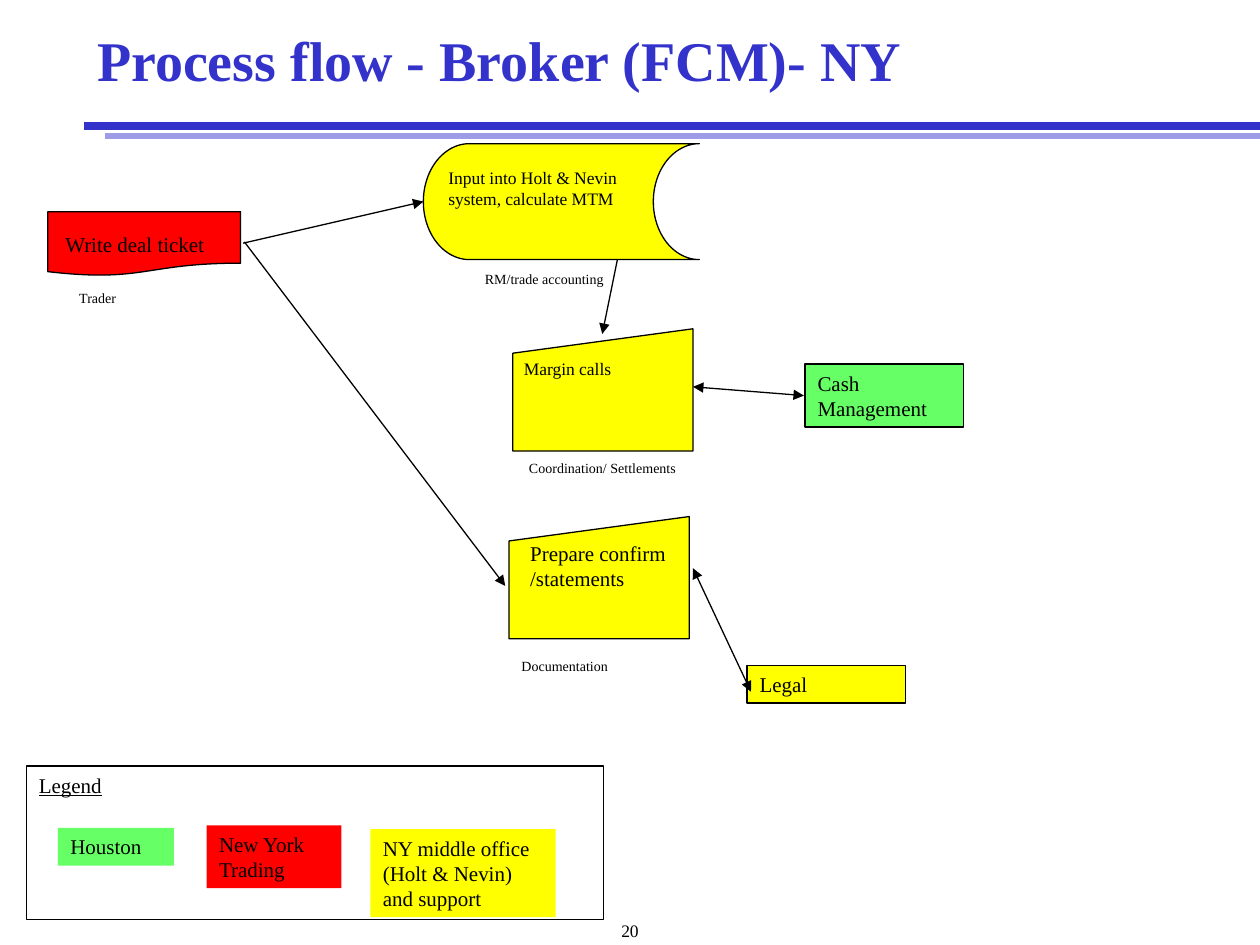
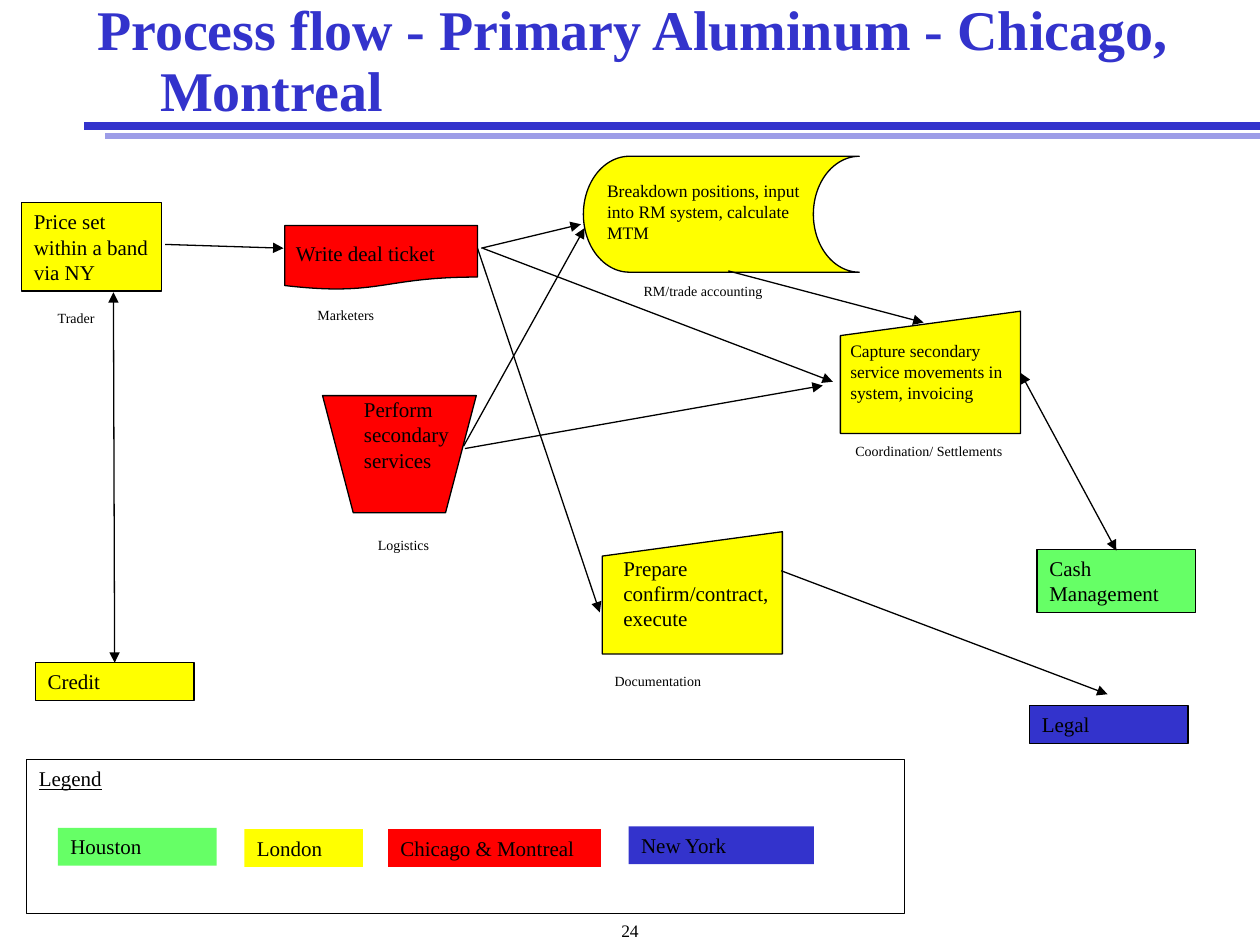
from lxml import etree
from pptx import Presentation
from pptx.dml.color import RGBColor
from pptx.enum.shapes import MSO_CONNECTOR as CONNECTOR, MSO_SHAPE as SHAPE
from pptx.enum.text import MSO_ANCHOR as ANCHOR, MSO_AUTO_SIZE as AUTO_SIZE, PP_ALIGN as ALIGN
from pptx.oxml.ns import qn
from pptx.util import Emu, Pt

EMU_PER_PX = 9144  # 100 px to the inch
FONT = "Times New Roman"
TITLE_ONLY = 5
COLORS = {
    "black": "000000",
    "blue": "3333CC",
    "pale_blue": "9D9DE7",
    "green": "66FF66",
    "red": "FF0000",
    "yellow": "FFFF00",
}


def px(*lengths):
    return [Emu(length * EMU_PER_PX) for length in lengths]


def color(name):
    return RGBColor.from_string(COLORS[name])


def set_font(para, size, name="black", bold=False, underline=False):
    for span in para.runs:
        font = span.font
        font.name, font.size = FONT, Pt(size)
        font.bold, font.underline = bold, underline
        font.color.rgb = color(name)


def write(shape, text, size=12, align=ALIGN.LEFT, underline=False):
    frame = shape.text_frame
    frame.word_wrap = True
    frame.auto_size = AUTO_SIZE.NONE
    frame.vertical_anchor = ANCHOR.TOP
    frame.text = text
    para = frame.paragraphs[0]
    para.alignment = align
    set_font(para, size, underline=underline)


def add_text(page, text, box, size=12, align=ALIGN.LEFT):
    write(page.shapes.add_textbox(*px(*box)), text, size, align)


def add_block(page, kind, box, fill=None, outlined=True):
    block = page.shapes.add_shape(kind, *px(*box))
    block.shadow.inherit = False
    if fill:
        block.fill.solid()
        block.fill.fore_color.rgb = color(fill)
    else:
        block.fill.background()
    if outlined:
        block.line.color.rgb = color("black")
        block.line.width = Pt(0.75)
    else:
        block.line.fill.background()
    return block


def add_step(page, kind, box, fill, text, text_box, size=12):
    """Flowchart symbol with its text laid over it."""
    add_block(page, kind, box, fill)
    add_text(page, text, text_box, size)


def add_party(page, text, box, fill):
    write(add_block(page, SHAPE.RECTANGLE, box, fill), text)


def add_captions(page, captions):
    for text, left, top, width in captions:
        add_text(page, text, (left, top, width, 24), 8)


def add_line(page, ends, name="black", width=0.75):
    line = page.shapes.add_connector(CONNECTOR.STRAIGHT, *px(*ends))
    line.line.color.rgb = color(name)
    line.line.width = Pt(width)
    etree.SubElement(line._element.spPr, qn("a:effectLst"))
    return line


def add_arrows(page, routes, two_way=False):
    tips = ("headEnd", "tailEnd") if two_way else ("tailEnd",)
    for ends in routes:
        stroke = add_line(page, ends).line._get_or_add_ln()
        for tip in tips:
            etree.SubElement(stroke, qn("a:" + tip), type="triangle")


def add_legend(page, box, entries):
    frame = add_block(page, SHAPE.RECTANGLE, box)
    write(frame, "Legend", underline=True)
    for text, fill, entry_box in entries:
        entry = add_block(page, SHAPE.RECTANGLE, entry_box, fill, outlined=False)
        write(entry, text)


def add_page(deck, title, number):
    page = deck.slides.add_slide(deck.slide_layouts[TITLE_ONLY])
    # Title with a hanging indent
    heading = page.shapes.title
    heading.left, heading.top, heading.width, heading.height = px(67, 0, 908, 100)
    frame = heading.text_frame
    frame.text = title
    frame.word_wrap = True
    frame.auto_size = AUTO_SIZE.NONE
    frame.vertical_anchor = ANCHOR.MIDDLE
    para = frame.paragraphs[0]
    para.alignment = ALIGN.LEFT
    para.line_spacing = 0.9
    hang = px(50)[0]
    properties = para._p.get_or_add_pPr()
    properties.set("marL", str(hang))
    properties.set("indent", str(-hang))
    set_font(para, 32, "blue", bold=True)
    # Double rule and page number
    add_line(page, (1000, 100, 67, 100), "blue", 4.5)
    add_line(page, (1000, 108, 83, 108), "pale_blue", 3)
    add_text(page, number, (0, 725, 1000, 17), 10, ALIGN.CENTER)
    return page


def build_broker_flow(deck):
    page = add_page(deck, "Process flow - Broker (FCM)- NY", "20")
    add_legend(page, (21, 608, 458, 122), [
        ("Houston", "green", (46, 657, 92, 30)),
        ("New York Trading", "red", (164, 655, 107, 50)),
        ("NY middle office (Holt & Nevin) and support", "yellow", (294, 658, 147, 70)),
    ])
    # Steps
    add_step(page, SHAPE.FLOWCHART_DOCUMENT, (38, 168, 153, 51), "red",
             "Write deal ticket", (42, 179, 172, 30))
    add_step(page, SHAPE.FLOWCHART_STORED_DATA, (336, 114, 219, 92), "yellow",
             "Input into Holt & Nevin system, calculate MTM", (346, 128, 185, 44), 10)
    add_step(page, SHAPE.FLOWCHART_MANUAL_INPUT, (407, 261, 143, 97), "yellow",
             "Margin calls", (406, 279, 143, 27), 10)
    add_step(page, SHAPE.FLOWCHART_MANUAL_INPUT, (404, 410, 143, 97), "yellow",
             "Prepare confirm /statements", (411, 424, 147, 50))
    add_captions(page, [
        ("Trader", 53, 225, 72),
        ("RM/trade accounting", 375, 210, 146),
        ("Coordination/ Settlements", 410, 360, 146),
        ("Documentation", 404, 517, 146),
    ])
    # Other parties
    add_party(page, "Cash Management", (639, 289, 126, 50), "green")
    add_party(page, "Legal", (593, 528, 126, 30), "yellow")
    # Flows
    add_arrows(page, [
        (193, 193, 336, 160),
        (194, 192, 401, 465),
        (490, 206, 478, 265),
    ])
    add_arrows(page, [(550, 307, 638, 314), (550, 451, 596, 549)], two_way=True)


def build_aluminum_flow(deck):
    page = add_page(deck, "Process flow - Primary Aluminum - Chicago, Montreal", "24")
    add_legend(page, (21, 603, 697, 122), [
        ("Houston", "green", (46, 657, 126, 30)),
        ("London", "yellow", (194, 658, 94, 30)),
        ("Chicago & Montreal", "red", (308, 658, 169, 30)),
        ("New York", "blue", (499, 656, 147, 30)),
    ])
    # Steps
    add_step(page, SHAPE.FLOWCHART_DOCUMENT, (226, 179, 153, 51), "red",
             "Write deal ticket", (225, 186, 193, 30))
    add_step(page, SHAPE.FLOWCHART_MANUAL_OPERATION, (256, 314, 122, 93), "red",
             "Perform secondary services", (279, 310, 90, 70))
    add_step(page, SHAPE.FLOWCHART_STORED_DATA, (463, 124, 219, 92), "yellow",
             "Breakdown positions, input into RM system, calculate MTM",
             (472, 138, 185, 60), 10)
    add_step(page, SHAPE.FLOWCHART_MANUAL_INPUT, (667, 247, 143, 97), "yellow",
             "Capture secondary service movements in system, invoicing",
             (665, 265, 143, 60), 10)
    add_step(page, SHAPE.FLOWCHART_MANUAL_INPUT, (478, 422, 143, 97), "yellow",
             "Prepare confirm/contract, execute", (485, 436, 143, 70))
    add_captions(page, [
        ("Trader", 36, 241, 72),
        ("Marketers", 242, 238, 72),
        ("Logistics", 290, 421, 74),
        ("RM/trade accounting", 501, 219, 146),
        ("Coordination/ Settlements", 669, 346, 146),
        ("Documentation", 478, 529, 146),
    ])
    # Other parties
    add_party(page, "Price set within a band via NY", (17, 161, 111, 70), "yellow")
    add_party(page, "Credit", (28, 526, 126, 30), "yellow")
    add_party(page, "Cash Management", (823, 436, 126, 50), "green")
    add_party(page, "Legal", (817, 560, 126, 30), "blue")
    # Flows
    add_arrows(page, [
        (131, 194, 225, 197),
        (382, 197, 461, 178),
        (379, 197, 476, 486),
        (383, 197, 661, 303),
        (369, 356, 653, 306),
        (368, 354, 464, 181),
        (578, 215, 733, 256),
        (620, 453, 879, 551),
    ])
    add_arrows(page, [(90, 232, 91, 526), (810, 296, 886, 437)], two_way=True)


def main():
    deck = Presentation()
    deck.slide_width, deck.slide_height = px(1000, 750)
    build_broker_flow(deck)
    build_aluminum_flow(deck)
    deck.save("out.pptx")


if __name__ == "__main__":
    main()
